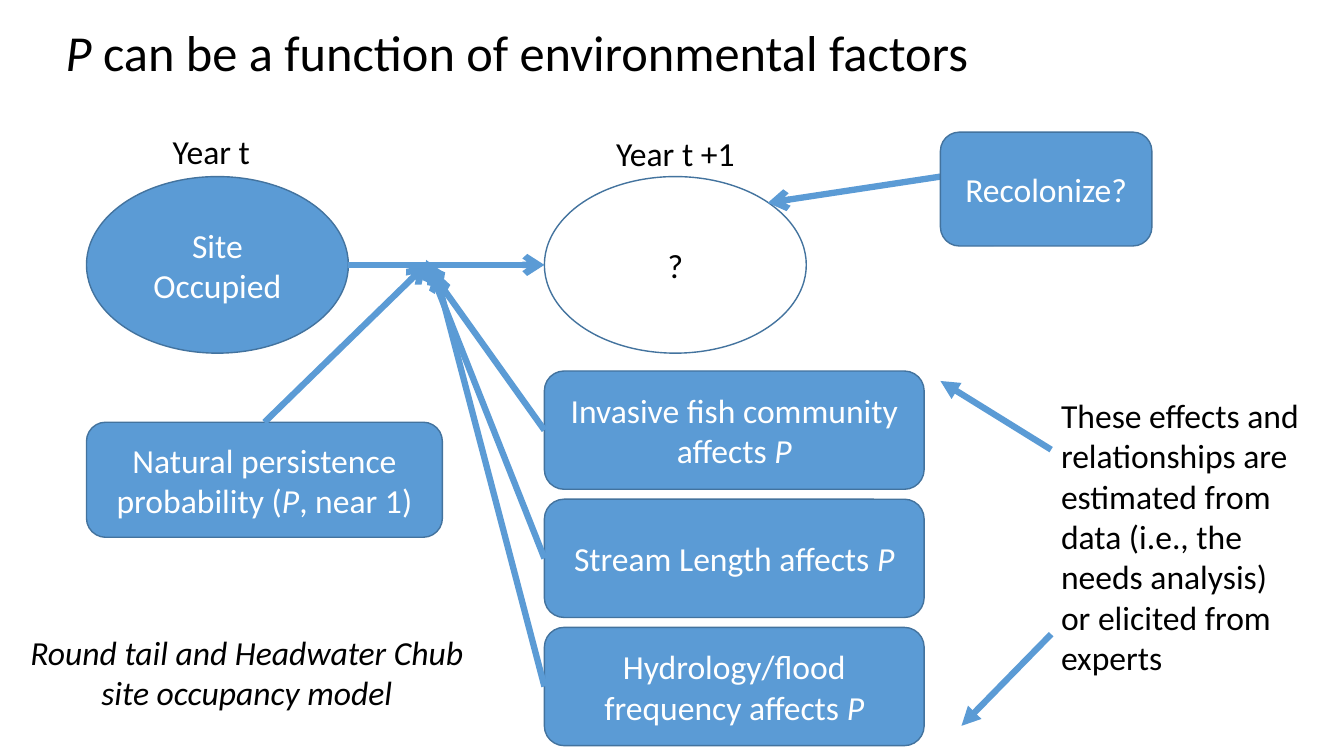
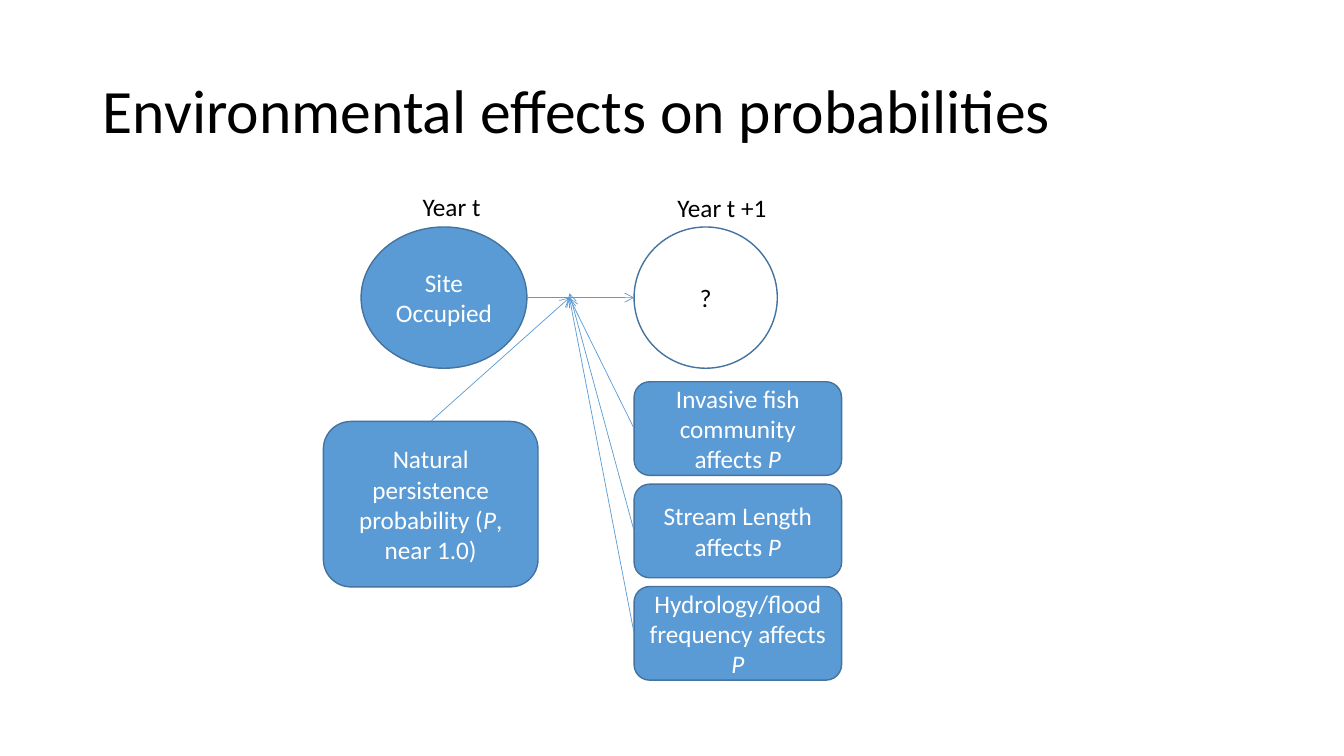
from dataclasses import dataclass

from lxml import etree
from pptx import Presentation
from pptx import util as u
from pptx.dml.color import RGBColor
from pptx.enum import shapes, text
from pptx.oxml.ns import qn

FONT = "Calibri"
BLUE, OUTLINE, WHITE, BLACK = "5B9BD5", "43739E", "FFFFFF", "000000"
ELLIPSE = shapes.MSO_SHAPE.OVAL
ROUNDED = shapes.MSO_SHAPE.ROUNDED_RECTANGLE
CENTER, LEFT = text.PP_ALIGN.CENTER, text.PP_ALIGN.LEFT
TOP, MIDDLE = text.MSO_ANCHOR.TOP, text.MSO_ANCHOR.MIDDLE
TITLE_ONLY = 5

FACTORS = (
    "Invasive fish community affects *P*",
    "Stream Length affects *P*",
    "Hydrology/flood frequency affects *P*",
)


@dataclass(frozen=True)
class Box:
    """A rectangle in centimetres."""
    left: float
    top: float
    width: float
    height: float

    @property
    def center_x(self) -> float:
        return self.left + self.width / 2

    @property
    def center_y(self) -> float:
        return self.top + self.height / 2

    @property
    def right(self) -> float:
        return self.left + self.width

    def lengths(self) -> tuple:
        return tuple(u.Cm(v) for v in (self.left, self.top, self.width, self.height))


@dataclass(frozen=True)
class Diagram:
    """Layout of the site occupancy model on one slide."""
    size: float
    line_width: float
    occupied: Box
    next_state: Box
    year_now: Box
    year_next: Box
    persistence: Box
    persistence_text: str
    persistence_tip: tuple
    first_factor: Box
    factor_pitch: float
    factor_tips: tuple


def color(value: str) -> RGBColor:
    return RGBColor.from_string(value)


def write(shape, content: str, size: float, font_color: str = BLACK,
          align=CENTER, anchor=TOP, spacing: float = 1.0) -> None:
    """Fill a shape with one paragraph; asterisks enclose italics."""
    frame = shape.text_frame
    frame.word_wrap = True
    frame.auto_size = text.MSO_AUTO_SIZE.NONE
    frame.vertical_anchor = anchor
    paragraph = frame.paragraphs[0]
    paragraph.alignment = align
    paragraph.line_spacing = spacing
    paragraph.font.name = FONT
    paragraph.font.size = u.Pt(size)
    paragraph.font.color.rgb = color(font_color)
    for index, part in enumerate(content.split("*")):
        if part:
            run = paragraph.add_run()
            run.text = part
            if index % 2:
                run.font.italic = True


def add_title(slide, box: Box, content: str, size: float, **style) -> None:
    title = slide.shapes.title
    title.left, title.top, title.width, title.height = box.lengths()
    write(title, content, size, align=LEFT, **style)


def add_label(slide, box: Box, content: str, size: float, align=CENTER) -> None:
    write(slide.shapes.add_textbox(*box.lengths()), content, size, align=align)


def add_node(slide, kind, box: Box, content: str, size: float, filled: bool = True) -> None:
    shape = slide.shapes.add_shape(kind, *box.lengths())
    shape.shadow.inherit = False
    if filled:
        shape.fill.solid()
        shape.fill.fore_color.rgb = color(BLUE)
    else:
        shape.fill.background()
    shape.line.color.rgb = color(OUTLINE)
    shape.line.width = u.Pt(1)
    write(shape, content, size, WHITE if filled else BLACK, anchor=MIDDLE)


def add_arrow(slide, start: tuple, end: tuple, width: float, head: str = "arrow") -> None:
    connector = slide.shapes.add_connector(
        shapes.MSO_CONNECTOR.STRAIGHT, *(u.Cm(v) for v in (*start, *end)))
    connector.line.color.rgb = color(BLUE)
    connector.line.width = u.Pt(width)
    etree.SubElement(connector.line._get_or_add_ln(), qn("a:tailEnd"), type=head)
    etree.SubElement(connector._element.spPr, qn("a:effectLst"))


def add_diagram(slide, diagram: Diagram) -> None:
    size, width = diagram.size, diagram.line_width
    occupied, next_state = diagram.occupied, diagram.next_state
    # Site states and the transition between them
    add_node(slide, ELLIPSE, occupied, "Site Occupied", size)
    add_node(slide, ELLIPSE, next_state, "?", size, filled=False)
    add_arrow(slide, (occupied.right, occupied.center_y),
              (next_state.left, next_state.center_y), width)
    add_label(slide, diagram.year_now, "Year t", size)
    add_label(slide, diagram.year_next, "Year t +1", size)
    # Natural persistence
    persistence = diagram.persistence
    add_node(slide, ROUNDED, persistence, diagram.persistence_text, size)
    add_arrow(slide, (persistence.center_x, persistence.top),
              diagram.persistence_tip, width)
    # Environmental factors
    first = diagram.first_factor
    for index, (content, tip) in enumerate(zip(FACTORS, diagram.factor_tips)):
        box = Box(first.left, first.top + index * diagram.factor_pitch,
                  first.width, first.height)
        add_node(slide, ROUNDED, box, content, size)
        add_arrow(slide, (box.left, box.center_y), tip, width)


LARGE_DIAGRAM = Diagram(
    size=24, line_width=4.5,
    occupied=Box(2.18, 4.45, 6.6, 4.45),
    next_state=Box(13.72, 4.45, 6.6, 4.45),
    year_now=Box(3.18, 3.18, 4.29, 1.27),
    year_next=Box(14.63, 3.23, 4.78, 1.27),
    persistence=Box(2.18, 10.64, 8.97, 2.9),
    persistence_text="Natural persistence probability (*P*, near 1)",
    persistence_tip=(10.74, 6.67),
    first_factor=Box(13.72, 9.35, 9.57, 2.98), factor_pitch=3.23,
    factor_tips=((10.74, 6.67), (10.74, 6.55), (10.97, 6.83)),
)

SMALL_DIAGRAM = Diagram(
    size=18, line_width=0.5,
    occupied=Box(9.1, 5.72, 4.18, 3.56),
    next_state=Box(15.98, 5.72, 3.61, 3.56),
    year_now=Box(10.21, 4.7, 2.34, 0.81),
    year_next=Box(16.48, 4.72, 3.43, 1.02),
    persistence=Box(8.15, 10.62, 5.41, 4.17),
    persistence_text="Natural persistence probability (*P*, near 1.0)",
    persistence_tip=(14.35, 7.5),
    first_factor=Box(15.98, 9.62, 5.23, 2.36), factor_pitch=2.58,
    factor_tips=((14.35, 7.5), (14.35, 7.39), (14.35, 7.5)),
)


def build_function_slide(slide) -> None:
    add_title(slide, Box(1.4, 0.41, 30.18, 1.8),
              "*P *can be a function of environmental factors", 36, anchor=TOP)
    add_diagram(slide, LARGE_DIAGRAM)
    size, width = LARGE_DIAGRAM.size, LARGE_DIAGRAM.line_width
    add_label(slide, Box(0.38, 15.8, 11.68, 2.31),
              "*Round tail and Headwater Chub site occupancy model*", size)
    # Recolonization
    add_arrow(slide, (23.7, 4.45), (19.35, 5.11), width)
    add_node(slide, ROUNDED, Box(23.7, 3.33, 5.33, 2.87), "Recolonize?", size)
    # Note on how the effects are estimated
    add_label(slide, Box(26.49, 9.83, 6.55, 7.44),
              "These effects and relationships are estimated from data "
              "(i.e., the needs analysis) or elicited from experts", size, LEFT)
    add_arrow(slide, (26.49, 11.33), (23.7, 9.6), width, "triangle")
    add_arrow(slide, (26.49, 15.98), (24.23, 18.29), width, "triangle")


def build_probabilities_slide(slide) -> None:
    add_title(slide, Box(2.34, 1.02, 29.21, 3.68),
              "Environmental effects on probabilities", 44,
              anchor=MIDDLE, spacing=0.9)
    add_diagram(slide, SMALL_DIAGRAM)


def main() -> None:
    presentation = Presentation()
    presentation.slide_width = u.Cm(33.87)
    presentation.slide_height = u.Cm(19.05)
    layout = presentation.slide_layouts[TITLE_ONLY]
    for build in (build_function_slide, build_probabilities_slide):
        build(presentation.slides.add_slide(layout))
    presentation.save("out.pptx")


if __name__ == "__main__":
    main()
